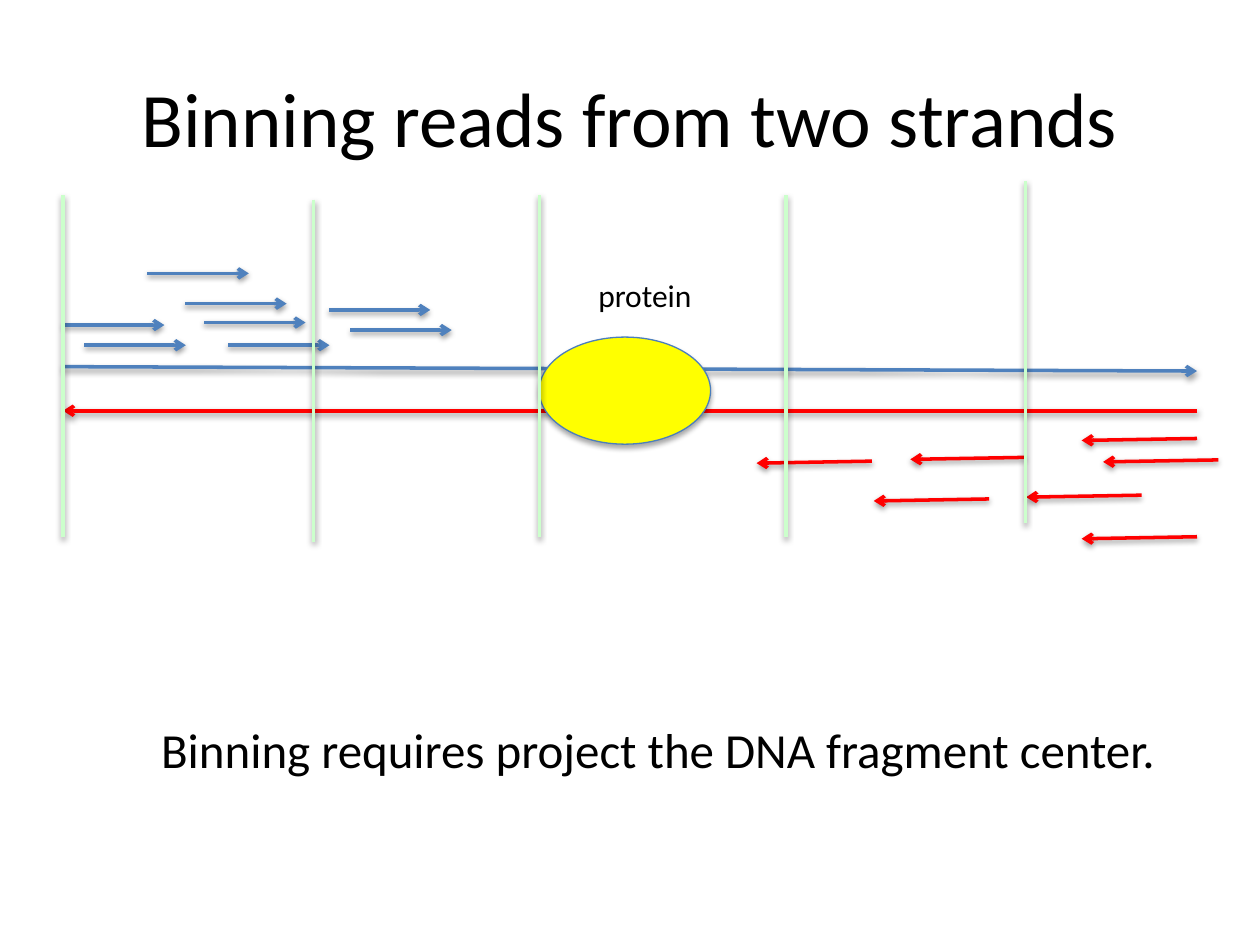
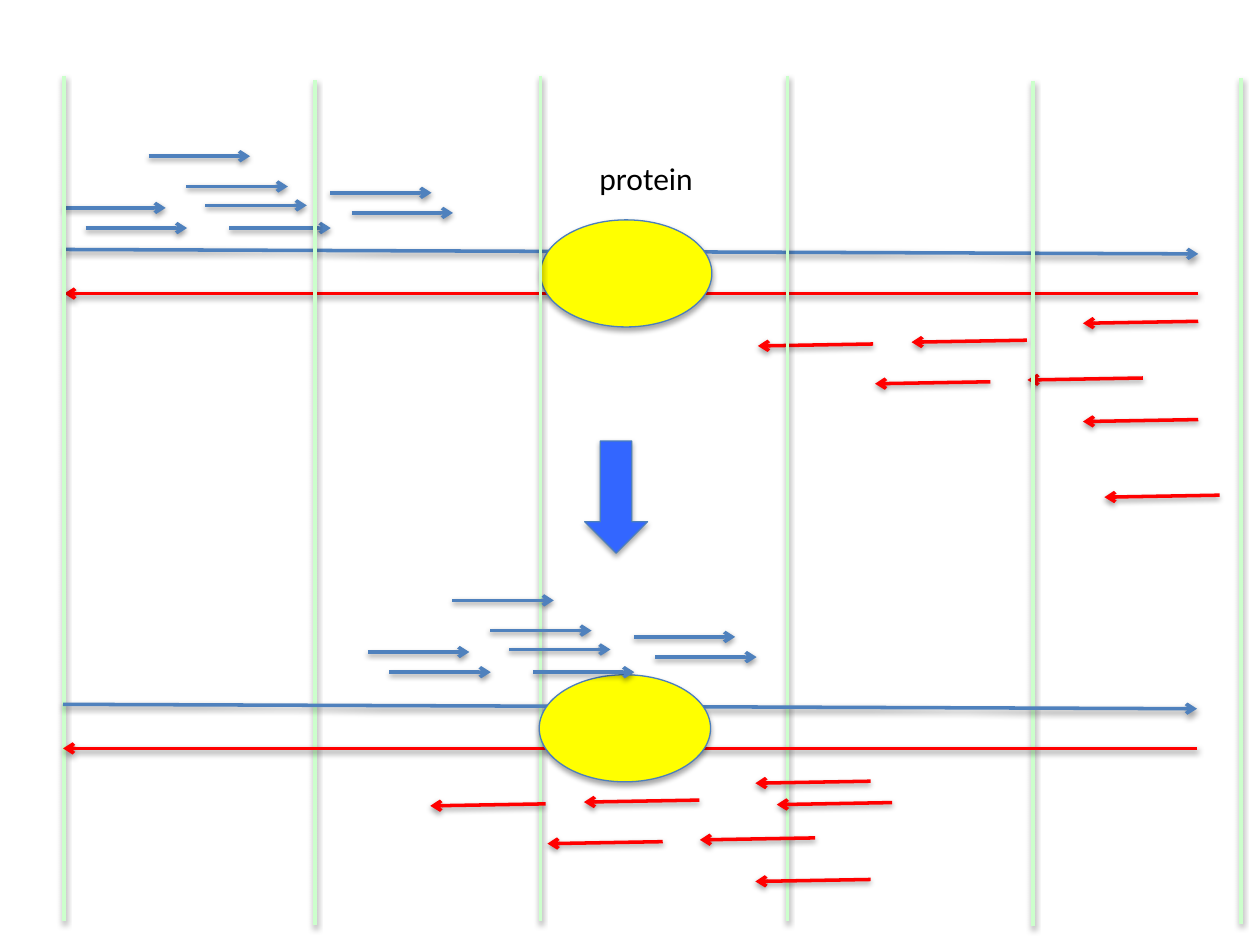
from collections import namedtuple

from lxml.etree import SubElement
from pptx import Presentation
from pptx.dml.color import RGBColor
from pptx.enum.shapes import MSO_CONNECTOR as Connector, MSO_SHAPE as Preset
from pptx.enum.text import MSO_ANCHOR as Anchor, PP_ALIGN as Align
from pptx.oxml.ns import qn
from pptx.util import Inches, Pt

COLORS = {
    "forward": "4F81BD",
    "reverse": "FF0000",
    "bin": "CCFFCC",
    "protein": "FFFF00",
    "outline": "4B7EBC",
    "step": "3366FF",
    "text": "000000",
}
FONT = "Calibri"
SLIDE_WIDTH, SLIDE_HEIGHT = Inches(10), Inches(7.5)
COLUMN, ROW = SLIDE_WIDTH / 100, SLIDE_HEIGHT / 75

Box = namedtuple("Box", "left top width height")

STRAND_GAP = 3.5
FORWARD_LENGTH, REVERSE_LENGTH = 8.05, 9.15
REVERSE_SLOPE = 0.16
FORWARD_READS = [(0, -3.3), (1.7, -1.7), (21.1, -4.5), (11.2, -3.5),
                 (6.7, -7.4), (13.1, -1.7), (9.7, -5), (22.8, -2.9)]
REVERSE_READS = [(90, 5.7), (76.4, 7.2), (85.6, 10.2), (90, 13.5),
                 (64.2, 7.5), (73.5, 10.5)]
NEAR_READ, FAR_READ = (91.7, 7.4), (91.7, 19.5)
SHARED_BINS = [(0, 0), (19.9, 0.35), (37.8, 0), (57.4, 0)]


def color(name):
    """Return the named colour of the palette."""
    return RGBColor.from_string(COLORS[name])


def place(left, top):
    """Turn grid columns and rows into slide lengths."""
    return round(left * COLUMN), round(top * ROW)


def format_text(shape, text, size):
    """Write one paragraph in the shared font."""
    paragraph = shape.text_frame.paragraphs[0]
    paragraph.text = text
    paragraph.font.name = FONT
    paragraph.font.size = Pt(size)
    paragraph.font.color.rgb = color("text")
    return paragraph


def add_title(slide, text, box):
    """Fill and place the title placeholder."""
    title = slide.shapes.title
    title.left, title.top = place(box.left, box.top)
    title.width, title.height = place(box.width, box.height)
    title.text_frame.vertical_anchor = Anchor.MIDDLE
    format_text(title, text, 44).alignment = Align.CENTER


def add_label(slide, text, size, box):
    """Add a text box that keeps its text on one line."""
    label = slide.shapes.add_textbox(*place(box.left, box.top), *place(box.width, box.height))
    label.text_frame.word_wrap = False
    format_text(label, text, size)


def add_line(slide, start, end, color_name, arrow=True):
    """Draw a line with the theme's soft shadow, by default with an arrowhead."""
    line = slide.shapes.add_connector(Connector.STRAIGHT, *place(*start), *place(*end))
    line.line.width = Pt(2)
    line.line.color.rgb = color(color_name)
    if arrow:
        SubElement(line.element.spPr.find(qn("a:ln")), qn("a:tailEnd"), type="arrow")


def add_filled_shape(slide, preset, color_name, box):
    """Draw a filled, outlined shape with the theme's shadow."""
    shape = slide.shapes.add_shape(preset, *place(box.left, box.top), *place(box.width, box.height))
    shape.fill.solid()
    shape.fill.fore_color.rgb = color(color_name)
    shape.line.color.rgb = color("outline")
    shape.line.width = Pt(0.75)


def draw_strands(slide, box):
    """Draw the forward and reverse strands across the box."""
    right = box.left + box.width
    reverse_top = box.top + STRAND_GAP
    add_line(slide, (box.left, box.top), (right, box.top + 0.35), "forward")
    add_line(slide, (right, reverse_top), (box.left, reverse_top), "reverse")


def draw_reads(slide, box, last_read, forward_shift=(0, 0), reverse_shift=(0, 0)):
    """Draw the reads of both strands, moved by the given shifts."""
    for column, row in FORWARD_READS:
        left = box.left + column + forward_shift[0]
        top = box.top + row + forward_shift[1]
        add_line(slide, (left, top), (left + FORWARD_LENGTH, top), "forward")
    for column, row in REVERSE_READS + [last_read]:
        right = box.left + column + reverse_shift[0]
        top = box.top + row + reverse_shift[1]
        add_line(slide, (right, top), (right - REVERSE_LENGTH, top + REVERSE_SLOPE), "reverse")


def draw_protein(slide, box, labelled=True):
    """Draw the protein on the strands, by default with its label."""
    add_filled_shape(slide, Preset.OVAL, "protein",
                     Box(box.left + 37.8, box.top - 2.35, 13.6, 8.5))
    if labelled:
        add_label(slide, "protein", 18, Box(box.left + 41.5, box.top - 7.7, 9.6, 4))


def draw_bins(slide, box, extra_bins):
    """Draw the bin borders down the box."""
    for column, row in SHARED_BINS + extra_bins:
        left, top = box.left + column, box.top + row
        add_line(slide, (left, top), (left, top + box.height), "bin", arrow=False)


def build_binning_slide(presentation):
    """Show the reads of both strands in their bins."""
    slide = presentation.slides.add_slide(presentation.slide_layouts[5])
    add_title(slide, "Binning reads from two strands", Box(5, 3, 90, 12.5))
    track = Box(5, 29.1, 90, STRAND_GAP)
    draw_strands(slide, track)
    draw_reads(slide, track, NEAR_READ)
    add_label(slide, "Binning requires project the DNA fragment center.", 28,
              Box(11.8, 56.6, 82.5, 5.7))
    draw_protein(slide, track)
    draw_bins(slide, Box(5, 15.5, 90, 27.15), [(76.4, -1.1)])


def build_projection_slide(presentation):
    """Show the reads before and after moving to the fragment center."""
    slide = presentation.slides.add_slide(presentation.slide_layouts[6])
    before = Box(5.1, 19.8, 90, STRAND_GAP)
    after = Box(5, 55.9, 90, STRAND_GAP)
    draw_strands(slide, before)
    draw_reads(slide, before, FAR_READ)
    draw_protein(slide, before)
    draw_bins(slide, Box(5.1, 6, 93.4, 67.1), [(76.9, 0.4), (93.4, 0.2)])
    draw_strands(slide, after)
    draw_protein(slide, after, labelled=False)
    draw_reads(slide, after, NEAR_READ, (24.2, -0.85), (-25.9, 0.4))
    add_filled_shape(slide, Preset.DOWN_ARROW, "step", Box(46.4, 35, 5, 8.9))


def main():
    """Build and save the presentation."""
    presentation = Presentation()
    presentation.slide_width, presentation.slide_height = SLIDE_WIDTH, SLIDE_HEIGHT
    build_binning_slide(presentation)
    build_projection_slide(presentation)
    presentation.save("out.pptx")


if __name__ == "__main__":
    main()
